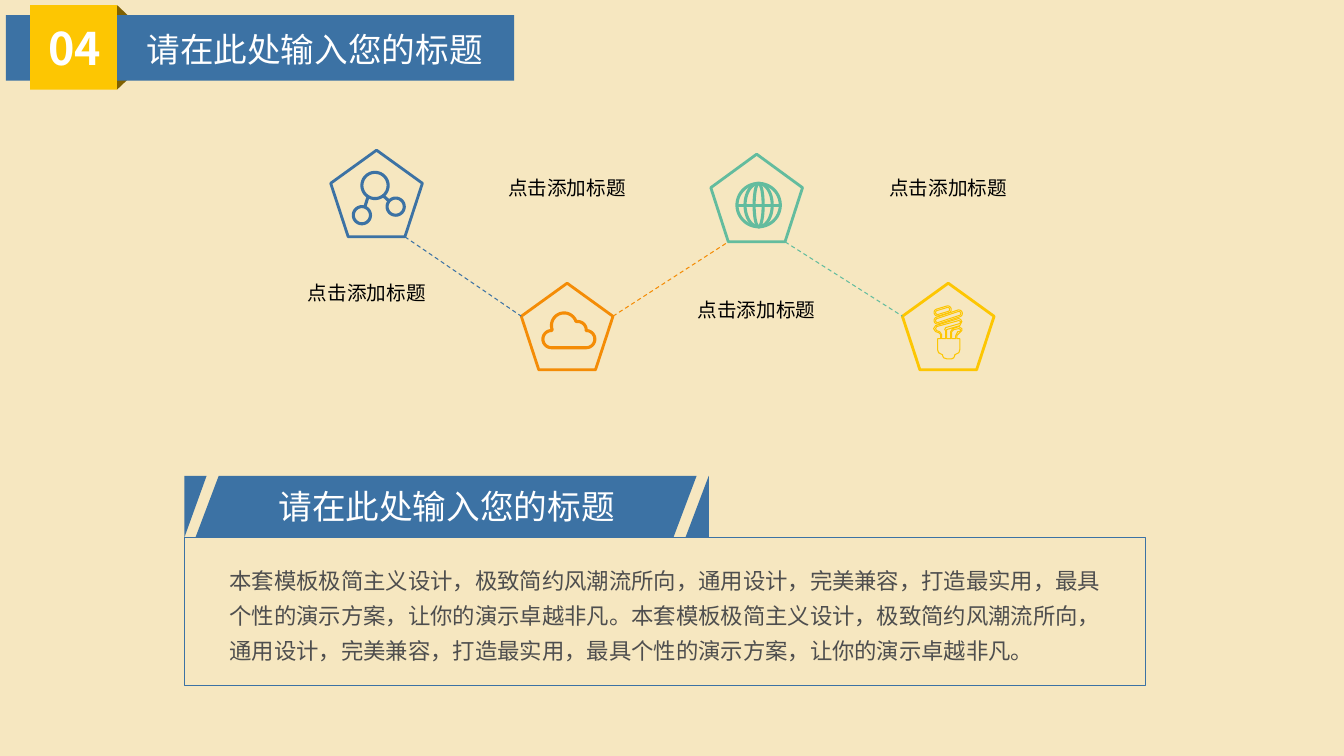
import math
from dataclasses import dataclass

import pptx
import pptx.dml.color
import pptx.enum.dml
import pptx.enum.shapes
import pptx.enum.text
import pptx.oxml
import pptx.oxml.ns
import pptx.util

PX = 9144  # EMU in one px, with 100 px to the inch
SHAPE = pptx.enum.shapes.MSO_SHAPE
ANCHOR = pptx.enum.text.MSO_ANCHOR
ALIGN = pptx.enum.text.PP_ALIGN

Point = tuple[float, float]
Contour = list[Point]
Box = tuple[int, int, int, int]


@dataclass(frozen=True)
class Theme:
    sand: str = "F6E7C0"
    blue: str = "3C72A4"
    orange: str = "F48C06"
    green: str = "63BC9E"
    yellow: str = "FDC602"
    fold: str = "7F6000"
    white: str = "FFFFFF"
    black: str = "000000"
    grey: str = "4E4E4E"
    font: str = "Noto Sans CJK SC"
    label_font: str = "Arial"
    number_size: int = 32
    title_size: int = 24
    body_size: int = 16
    label_size: int = 14


@dataclass(frozen=True)
class Step:
    pentagon: Box
    label: Box
    color: str
    icon: list[Contour]
    icon_line: float
    closed: bool = True


THEME = Theme()
TITLE = "请在此处输入您的标题"
LABEL = "点击添加标题"
SENTENCES = (
    "本套模板极简主义设计，极致简约风潮流所向，通用设计，完美兼容，"
    "打造最实用，最具个性的演示方案，让你的演示卓越非凡。"
)


def rgb(color: str) -> pptx.dml.color.RGBColor:
    return pptx.dml.color.RGBColor.from_string(color)


def arc(x: float, y: float, rx: float, ry: float, start: float = 0, end: float = 360) -> Contour:
    """Points of an elliptic arc; angles in degrees, clockwise from the right."""
    count = max(8, round(abs(end - start) / 8))
    angles = [math.radians(start + (end - start) * i / count) for i in range(count + 1)]
    return [(x + rx * math.cos(a), y + ry * math.sin(a)) for a in angles]


def capsule(start: Point, end: Point, radius: float) -> Contour:
    tilt = math.degrees(math.atan2(end[1] - start[1], end[0] - start[0]))
    return (arc(*end, radius, radius, tilt - 90, tilt + 90)
            + arc(*start, radius, radius, tilt + 90, tilt + 270))


def paint(shape, fill: str = "", line: str = "", width: float = 1) -> None:
    shape.shadow.inherit = False
    if fill:
        shape.fill.solid()
        shape.fill.fore_color.rgb = rgb(fill)
    else:
        shape.fill.background()
    if line:
        shape.line.color.rgb = rgb(line)
        shape.line.width = pptx.util.Pt(width)
    else:
        shape.line.fill.background()


def add_preset(slide, preset: SHAPE, box: Box, **colors):
    shape = slide.shapes.add_shape(preset, *(v * PX for v in box))
    paint(shape, **colors)
    return shape


def add_outline(slide, contours: list[Contour], closed: bool = True, **colors):
    """Draw all contours as one freeform."""
    first, *others = [[(x * PX, y * PX) for x, y in contour] for contour in contours]
    builder = slide.shapes.build_freeform(*first[0], scale=1.0)
    builder.add_line_segments(first[1:], close=closed)
    for contour in others:
        builder.move_to(*contour[0])
        builder.add_line_segments(contour[1:], close=closed)
    shape = builder.convert_to_shape()
    paint(shape, **colors)
    return shape


def write(shape, text: str, *, size: int, color: str, font: str = THEME.font, bold: bool = False,
          align: ALIGN = ALIGN.CENTER, anchor: ANCHOR = ANCHOR.MIDDLE,
          spacing: float = 1.0, wrap: bool = True) -> None:
    frame = shape.text_frame
    frame.word_wrap = wrap
    frame.vertical_anchor = anchor
    para = frame.paragraphs[0]
    para.alignment = align
    para.line_spacing = spacing
    span = para.add_run()
    span.text = text
    span.font.size = pptx.util.Pt(size)
    span.font.bold = bold
    span.font.color.rgb = rgb(color)
    span.font.name = font
    latin = span.font._element.find(pptx.oxml.ns.qn("a:latin"))
    east_asian = pptx.oxml.parse_xml(f'<a:ea {pptx.oxml.ns.nsdecls("a")} typeface="{font}"/>')
    latin.addnext(east_asian)


def add_text(slide, box: Box, text: str, **style) -> None:
    write(slide.shapes.add_textbox(*(v * PX for v in box)), text, **style)


def add_link(slide, left: Box, right: Box, color: str) -> None:
    """Dashed line from a foot of the upper pentagon to a shoulder of the lower one."""
    descending = left[1] < right[1]
    foot, shoulder = 0.81, 0.38
    ends = []
    for (x, y, width, height), upper, share in ((left, descending, foot),
                                                (right, not descending, 1 - foot)):
        if upper:
            ends += [x + share * width, y + height]
        else:
            ends += [x + round(share) * width, y + shoulder * height]
    link = slide.shapes.add_connector(pptx.enum.shapes.MSO_CONNECTOR.STRAIGHT,
                                      *(round(v * PX) for v in ends))
    link.line.color.rgb = rgb(color)
    link.line.width = pptx.util.Pt(0.75)
    link.line.dash_style = pptx.enum.dml.MSO_LINE.DASH
    link._element.spPr.append(
        pptx.oxml.parse_xml(f'<a:effectLst {pptx.oxml.ns.nsdecls("a")}/>'))


MOLECULE = [arc(372, 184, 13, 13), arc(359, 213.5, 8.5, 8.5), arc(392.5, 205, 8.5, 8.5),
            [(365, 195.5), (362, 205)], [(380.5, 194.5), (386, 199.5)]]
CLOUD = [arc(547, 336.5, 8.5, 8.5, 90, 270) + arc(559.5, 323, 12.5, 12.5, 160, 340)
         + arc(573, 327.5, 8.5, 8.5, 265, 365) + arc(581.5, 336.5, 8.5, 8.5, -90, 90)]
GLOBE = [*(arc(752.5, 203.5, rx, 21.5) for rx in (21.5, 13.5, 4.5)),
         [(731, 203.5), (774, 203.5)]]
BULB_BODY = [
    (952, 330), (951, 331), (949, 333), (949, 336), (952, 336), (952, 347), (951, 350),
    (947, 352), (947, 353), (946, 355), (944, 356), (939, 356), (936, 355), (935, 353),
    (935, 352), (931, 350), (930, 347), (930, 336), (933, 336), (933, 332), (931, 330),
    (928, 329), (926, 326), (928, 323), (951, 316), (953, 317), (954, 319), (952, 323),
    (939, 327), (939, 336), (943, 336), (943, 329), (945, 326), (951, 324), (954, 326),
    (954, 328)]
BULB_LEFT_LEG = [
    (937, 327), (938, 328), (938, 336), (934, 336), (934, 332), (932, 329), (929, 328),
    (928, 326), (929, 324), (951, 318), (953, 319), (952, 321), (938, 325)]
BULB_RIGHT_LEG = [
    (952, 329), (950, 329), (948, 333), (948, 336), (944, 336), (944, 329), (946, 327),
    (951, 326), (953, 327)]
BULB = [*(capsule((930, y), (x, y - drop), radius)
          for y, x, drop in ((310, 940, 3), (318, 951, 7)) for radius in (3.5, 2)),
        BULB_BODY, BULB_LEFT_LEG, BULB_RIGHT_LEG]

STEPS = [
    Step((328, 149, 91, 86), (267, 274, 194, 34), THEME.blue, MOLECULE, 2.2, closed=False),
    Step((517, 281, 91, 86), (456, 170, 213, 34), THEME.orange, CLOUD, 2.2),
    Step((705, 153, 91, 87), (644, 291, 213, 34), THEME.green, GLOBE, 2.2, closed=False),
    Step((895, 281, 91, 86), (834, 170, 213, 34), THEME.yellow, BULB, 0.75),
]


def add_steps(slide) -> None:
    for step in STEPS:
        add_preset(slide, SHAPE.REGULAR_PENTAGON, step.pentagon, line=step.color, width=2)
        add_outline(slide, step.icon, step.closed, line=step.color, width=step.icon_line)
        add_text(slide, step.label, LABEL, size=THEME.label_size, color=THEME.black,
                 font=THEME.label_font, anchor=ANCHOR.TOP)
    for left, right in zip(STEPS, STEPS[1:]):
        add_link(slide, left.pentagon, right.pentagon, left.color)


def add_summary(slide) -> None:
    banner = add_outline(slide, [
        [(183, 472), (205, 472), (183, 533)],
        [(217, 472), (691, 472), (668, 533), (194, 533)],
        [(703, 472), (703, 533), (680, 533)],
    ], fill=THEME.blue)
    write(banner, TITLE, size=THEME.title_size, color=THEME.white)
    add_preset(slide, SHAPE.RECTANGLE, (183, 533, 953, 147), line=THEME.blue)
    add_text(slide, (218, 549, 896, 115), SENTENCES * 2, size=THEME.body_size,
             color=THEME.grey, align=ALIGN.LEFT, spacing=1.3)


def add_header(slide) -> None:
    add_outline(slide, [[(116, 5), (135, 23), (116, 23)], [(116, 89), (135, 71), (116, 71)]],
                fill=THEME.fold)
    add_preset(slide, SHAPE.RECTANGLE, (6, 15, 504, 65), fill=THEME.blue)
    add_preset(slide, SHAPE.RECTANGLE, (30, 5, 86, 84), fill=THEME.yellow)
    add_text(slide, (36, 16, 76, 64), "04", size=THEME.number_size, color=THEME.white,
             bold=True, anchor=ANCHOR.TOP, wrap=False)
    add_text(slide, (92, 21, 440, 55), TITLE, size=THEME.title_size, color=THEME.white)


def main() -> None:
    deck = pptx.Presentation()
    deck.slide_width, deck.slide_height = 1333 * PX, 750 * PX
    slide = deck.slides.add_slide(deck.slide_layouts[6])
    slide.background.fill.solid()
    slide.background.fill.fore_color.rgb = rgb(THEME.sand)
    add_steps(slide)
    add_summary(slide)
    add_header(slide)
    deck.save("out.pptx")


if __name__ == "__main__":
    main()
